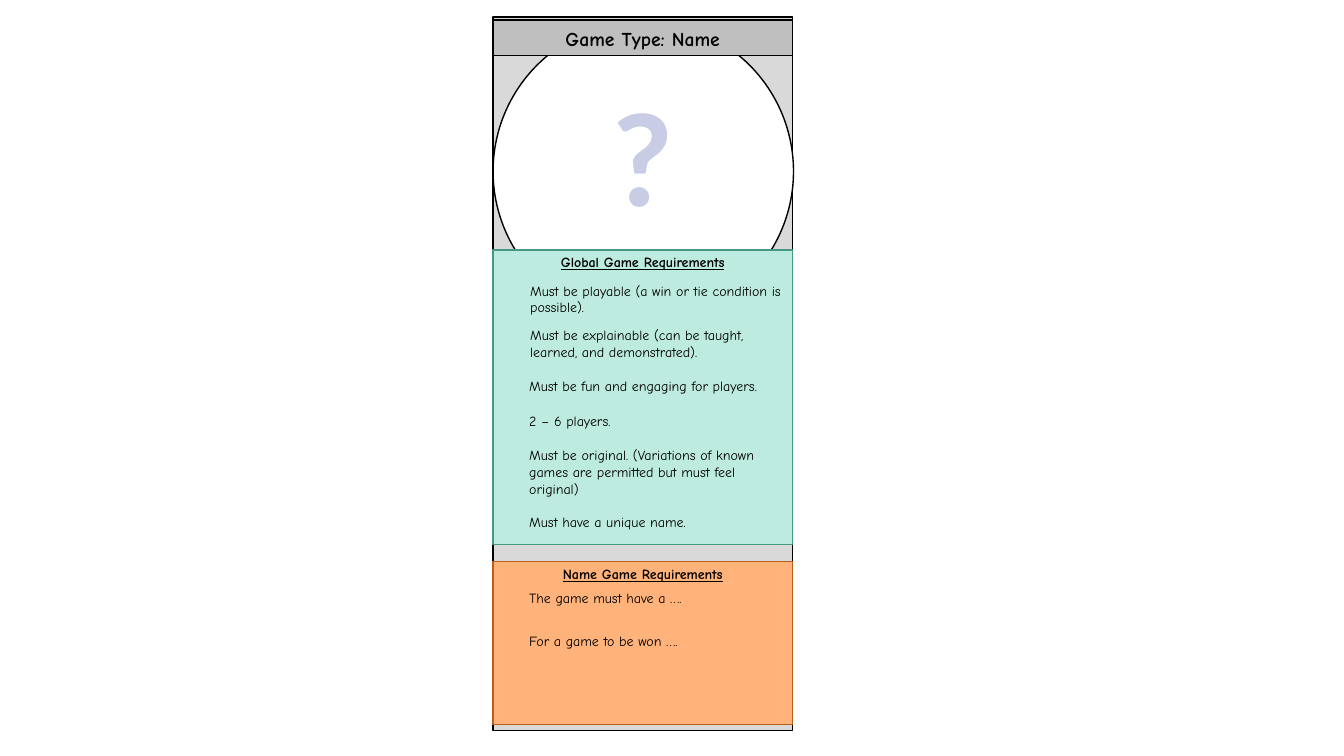
from dataclasses import dataclass

from lxml import etree
from pptx import Presentation
from pptx.dml.color import RGBColor
from pptx.enum import shapes, text
from pptx.oxml import ns
from pptx.util import Inches, Pt


@dataclass(frozen=True)
class Theme:
    font: str = "Comic Neue"
    mark_font: str = "Calibri"
    ink: str = "000000"
    white: str = "FFFFFF"
    card: str = "D9D9D9"
    band: str = "BFBFBF"
    mint: str = "BEEBDF"
    green: str = "459881"
    peach: str = "FFB37A"
    rust: str = "BD5F18"
    mark: str = "C8CDE5"
    head: int = 14
    body: int = 10
    huge: int = 96


THEME = Theme()
RECT = shapes.MSO_SHAPE.RECTANGLE
OVAL = shapes.MSO_SHAPE.OVAL
LEFT, WIDE = 4.89, 2.97

GLOBAL = [
    (5.16, 2.75, 2.7, 0.44, "Must be playable (a win or tie condition is possible)."),
    (5.16, 3.19, 2.7, 0.44, "Must be explainable (can be taught, learned, and demonstrated)."),
    (5.15, 3.7, 2.7, 0.27, "Must be fun and engaging for players."),
    (5.15, 4.04, 2.7, 0.27, "2 – 6 players."),
    (5.15, 4.38, 2.71, 0.61,
     "Must be original. (Variations of known games are permitted but must feel original)"),
    (5.15, 5.05, 2.11, 0.27, "Must have a unique name."),
]
NAMED = [
    (5.15, 5.8, 2.7, 0.27, "The game must have a …."),
    (5.15, 6.23, 2.7, 0.27, "For a game to be won …."),
]


def panel(slide, kind, top, wide, high, fill, line):
    """Add an outlined shape along the card's left edge."""
    shape = slide.shapes.add_shape(
        kind, Inches(LEFT), Inches(top), Inches(wide), Inches(high))
    shape.shadow.inherit = False
    shape.fill.solid()
    shape.fill.fore_color.rgb = RGBColor.from_string(fill)
    shape.line.color.rgb = RGBColor.from_string(line)
    shape.line.width = Pt(1)
    return shape


def style(shape, words, size, font=THEME.font, color=THEME.ink,
          bold=False, under=False, center=False):
    """Write one paragraph and format its run."""
    frame = shape.text_frame
    frame.text = words
    frame.word_wrap = True
    frame.auto_size = text.MSO_AUTO_SIZE.NONE
    frame.vertical_anchor = text.MSO_ANCHOR.TOP
    frame.margin_left = frame.margin_right = Inches(0.1)
    frame.margin_top = frame.margin_bottom = Inches(0.05)
    para = frame.paragraphs[0]
    para.alignment = text.PP_ALIGN.CENTER if center else text.PP_ALIGN.LEFT
    run = para.runs[0].font
    run.name, run.size = font, Pt(size)
    run.bold, run.underline = bold, under
    run.color.rgb = RGBColor.from_string(color)
    return run


def label(slide, left, top, wide, high, words, size=THEME.body, **look):
    """Add a text box with one styled paragraph."""
    box = slide.shapes.add_textbox(
        Inches(left), Inches(top), Inches(wide), Inches(high))
    return style(box, words, size, **look)


def title(slide, band):
    """Place the slide title on top of the header band."""
    head = slide.shapes.title
    head.left, head.top = Inches(LEFT), Inches(0.22)
    head.width, head.height = Inches(WIDE), Inches(0.34)
    style(head, "Game Type: Name", THEME.head, bold=True, center=True)
    band.element.addnext(head.element)


def rules(slide, top, high, fill, line, name, items):
    """Add a requirements panel with its heading and its rules."""
    panel(slide, RECT, top, WIDE, high, fill, line)
    label(slide, LEFT, top - 0.01, WIDE, 0.27, name,
          bold=True, under=True, center=True)
    for item in items:
        label(slide, *item)


def main():
    deck = Presentation()
    deck.slide_width, deck.slide_height = Inches(13.33), Inches(7.5)
    slide = deck.slides.add_slide(deck.slide_layouts.get_by_name("Title Only"))

    # Card, circle and header
    panel(slide, RECT, 0.17, WIDE, 7.08, THEME.card, THEME.ink)
    panel(slide, OVAL, 0.21, 2.98, 2.98, THEME.white, THEME.ink)
    band = panel(slide, RECT, 0.2, WIDE, 0.35, THEME.band, THEME.ink)
    title(slide, band)

    # Requirements
    rules(slide, 2.48, 2.92, THEME.mint, THEME.green,
          "Global Game Requirements", GLOBAL)
    rules(slide, 5.57, 1.62, THEME.peach, THEME.rust,
          "Name Game Requirements", NAMED)

    # Question mark in the circle
    label(slide, 5.78, 0.67, 1.18, 1.72, "?", THEME.huge,
          font=THEME.mark_font, color=THEME.mark, bold=True, center=True)

    deck.save("out.pptx")


if __name__ == "__main__":
    main()
